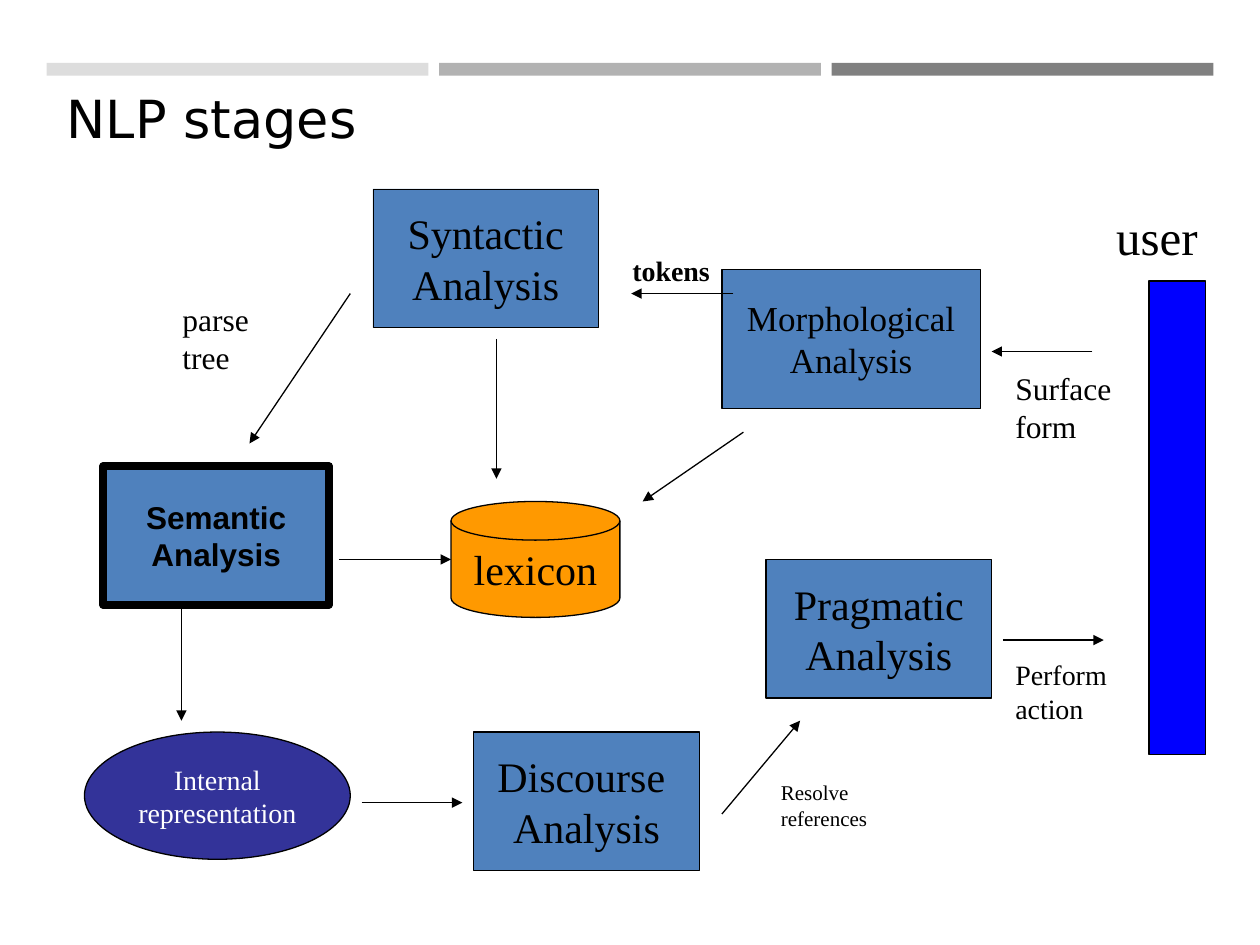
from dataclasses import dataclass

import pptx
import pptx.dml.color
import pptx.enum.shapes
import pptx.enum.text
import pptx.oxml.ns
import pptx.oxml.xmlchemy
import pptx.util
from pptx.util import Inches

RGBColor = pptx.dml.color.RGBColor
Shape = pptx.enum.shapes.MSO_SHAPE
Align = pptx.enum.text.PP_ALIGN
Anchor = pptx.enum.text.MSO_ANCHOR

BLACK = RGBColor(0x00, 0x00, 0x00)
WHITE = RGBColor(0xFF, 0xFF, 0xFF)
STAGE_BLUE = RGBColor(0x4F, 0x81, 0xBD)
USER_BLUE = RGBColor(0x00, 0x00, 0xFF)
INDIGO = RGBColor(0x33, 0x33, 0x99)
ORANGE = RGBColor(0xFF, 0x99, 0x00)
BAR_GRAYS = (
    RGBColor(0xDD, 0xDD, 0xDD),
    RGBColor(0xB2, 0xB2, 0xB2),
    RGBColor(0x80, 0x80, 0x80),
)
SERIF = "Times New Roman"


@dataclass
class Node:
    text: str
    left: float
    top: float
    width: float = 1.79
    height: float = 1.1
    size: int = 24
    fill: RGBColor = STAGE_BLUE
    line: float = 0.75
    kind: Shape = Shape.RECTANGLE
    color: RGBColor = BLACK
    font: str = SERIF
    bold: bool = False
    wrap: bool = True


@dataclass
class Label:
    text: str
    left: float
    top: float
    height: float
    size: int
    bold: bool = False


@dataclass
class Arrow:
    start: tuple[float, float]
    end: tuple[float, float]


NODES = [
    Node("", 9.12, 2.23, 0.45, 3.76, fill=USER_BLUE),
    Node("Morphological Analysis", 5.73, 2.14, 2.05, size=20),
    Node("Syntactic Analysis", 2.96, 1.5, line=0.25),
    Node("Semantic Analysis", 0.82, 3.7, size=18, line=4.5, font="Arial", bold=True),
    Node("Discourse  Analysis", 3.76, 5.81),
    Node("Pragmatic Analysis", 6.08, 4.44),
    Node("Internal representation", 0.67, 5.81, 2.11, 1.01, 16, INDIGO,
         kind=Shape.OVAL, color=WHITE),
    Node("lexicon", 3.58, 3.98, 1.34, 0.92, fill=ORANGE,
         kind=Shape.FLOWCHART_MAGNETIC_DISK, wrap=False),
]
ARROWS = [
    Arrow((8.67, 2.79), (7.87, 2.79)),
    Arrow((5.82, 2.33), (5.01, 2.33)),
    Arrow((2.78, 2.33), (1.98, 3.52)),
    Arrow((1.44, 4.81), (1.44, 5.72)),
    Arrow((7.96, 5.08), (8.76, 5.08)),
    Arrow((5.9, 3.43), (5.1, 3.98)),
    Arrow((3.94, 2.69), (3.94, 3.8)),
    Arrow((2.69, 4.44), (3.58, 4.44)),
    Arrow((2.87, 6.37), (3.67, 6.37)),
    Arrow((5.73, 6.46), (6.35, 5.72)),
]
LABELS = [
    Label("user", 8.76, 1.59, 0.63, 28),
    Label("Surface form", 7.96, 2.88, 0.77, 18),
    Label("Perform action", 7.96, 5.17, 0.7, 16),
    Label("tokens", 4.92, 1.96, 0.37, 16, bold=True),
    Label("parse tree", 1.35, 2.33, 0.77, 18),
    Label("Resolve references", 6.1, 6.14, 0.55, 12),
]


def write_text(box, text: str, size: int, color: RGBColor = BLACK,
               font: str = SERIF, bold: bool = False, align: Align = Align.LEFT) -> None:
    box.text_frame.text = text
    para = box.text_frame.paragraphs[0]
    para.alignment = align
    for span in para.runs:
        span.font.name = font
        span.font.size = pptx.util.Pt(size)
        span.font.bold = bold
        span.font.color.rgb = color


def draw_bars(page) -> None:
    width, gap = 3.03, 0.085
    for index, gray in enumerate(BAR_GRAYS):
        left = 0.37 + index * (width + gap)
        bar = page.shapes.add_shape(
            Shape.RECTANGLE, Inches(left), Inches(0.5), Inches(width), Inches(0.1))
        bar.shadow.inherit = False
        bar.fill.solid()
        bar.fill.fore_color.rgb = gray
        bar.line.fill.background()


def draw_title(page, text: str) -> None:
    title = page.shapes.title
    title.left, title.top = Inches(0.53), Inches(0.68)
    title.width, title.height = Inches(5.31), Inches(0.5)
    write_text(title, text, 30, font="DejaVu Sans")
    frame = title.text_frame
    frame.margin_left = frame.margin_right = frame.margin_top = frame.margin_bottom = 0
    frame.vertical_anchor = Anchor.TOP


def draw_node(page, node: Node) -> None:
    box = page.shapes.add_shape(
        node.kind, Inches(node.left), Inches(node.top),
        Inches(node.width), Inches(node.height))
    box.shadow.inherit = False
    box.fill.solid()
    box.fill.fore_color.rgb = node.fill
    box.line.color.rgb = BLACK
    box.line.width = pptx.util.Pt(node.line)
    if node.text:
        write_text(box, node.text, node.size, node.color, node.font, node.bold, Align.CENTER)
        box.text_frame.word_wrap = node.wrap
        box.text_frame.vertical_anchor = Anchor.MIDDLE


def draw_label(page, label: Label) -> None:
    box = page.shapes.add_textbox(
        Inches(label.left), Inches(label.top), Inches(1.07), Inches(label.height))
    write_text(box, label.text, label.size, bold=label.bold)
    box.text_frame.word_wrap = True


def draw_arrow(page, arrow: Arrow) -> None:
    points = [Inches(value) for value in (*arrow.start, *arrow.end)]
    connector = page.shapes.add_connector(
        pptx.enum.shapes.MSO_CONNECTOR.STRAIGHT, *points)
    connector.line.color.rgb = BLACK
    connector.line.width = pptx.util.Pt(0.75)
    head = pptx.oxml.xmlchemy.OxmlElement("a:tailEnd")
    head.set("type", "triangle")
    properties = connector.element.spPr
    properties.find(pptx.oxml.ns.qn("a:ln")).append(head)
    properties.append(pptx.oxml.xmlchemy.OxmlElement("a:effectLst"))


def main() -> None:
    deck = pptx.Presentation()
    deck.slide_width, deck.slide_height = Inches(10), Inches(7.5)
    page = deck.slides.add_slide(deck.slide_layouts[5])
    draw_bars(page)
    draw_title(page, "NLP stages")
    for node in NODES:
        draw_node(page, node)
    for arrow in ARROWS:
        draw_arrow(page, arrow)
    for label in LABELS:
        draw_label(page, label)
    deck.save("out.pptx")


if __name__ == "__main__":
    main()
